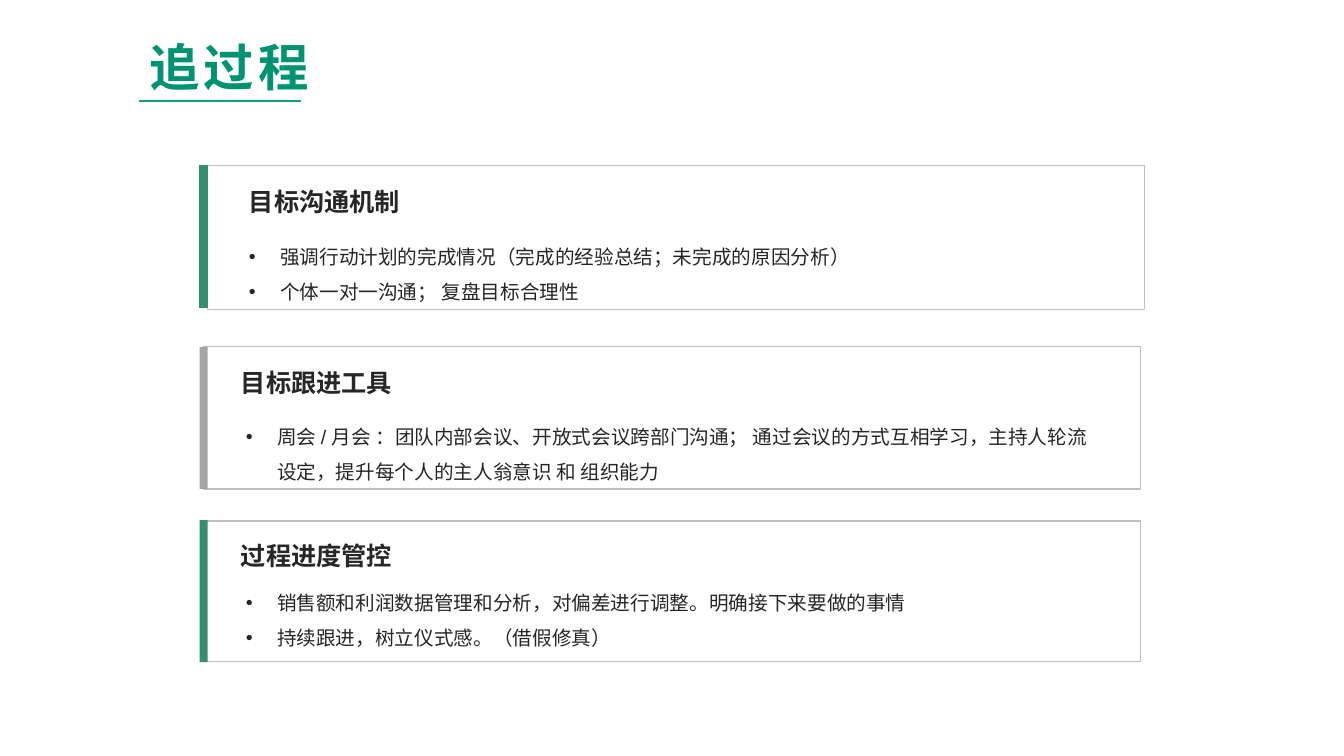
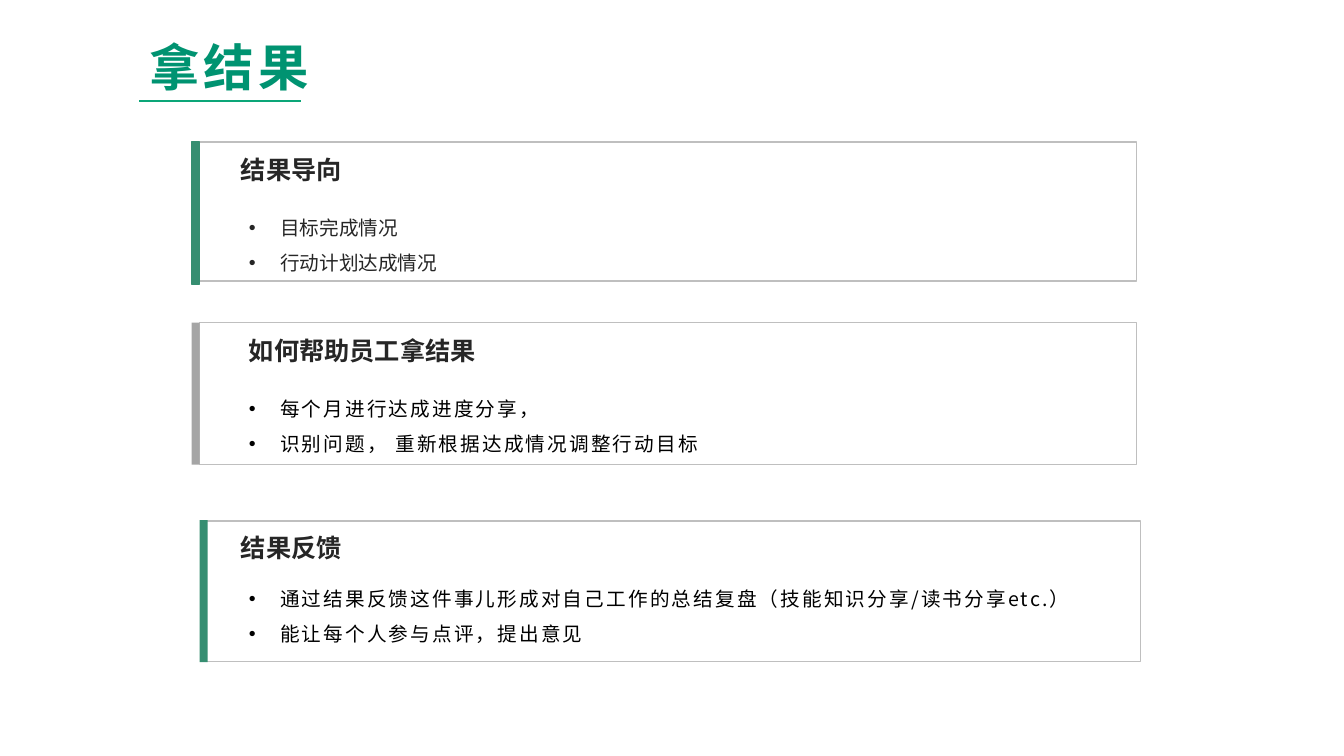
"""Build two slides of bordered cards on following progress and getting results."""
from lxml import etree
from pptx import Presentation
from pptx import util as u
from pptx.dml.color import RGBColor
from pptx.enum import shapes, text
from pptx.oxml.ns import qn

GREEN, GREY, BORDER, WHITE = "368E71", "A5A5A5", "BFBFBF", "FFFFFF"
TITLE, RULE, INK, BLACK = "009371", "0CA678", "262626", "000000"
CJK = "Noto Sans CJK SC"
CARD_W, TEXT_W, HEAD_H = 9.29, 8.65, 0.4
BAR_W, BAR_H = 0.08, 1.41
INDENT = 0.31
DARK = dict(font="Arial", color=INK)
SPACED = dict(font=CJK, color=BLACK, spacing=1.5)

SLIDES = [
    ("追过程", [
        dict(box=(2.06, 1.64, 1.43), bar=(1.98, 1.64), color=GREEN, outline=GREEN,
             head=(2.37, 1.8, "目标沟通机制"), body=(2.37, 2.27, 0.78), style=DARK,
             items=["强调行动计划的完成情况（完成的经验总结；未完成的原因分析）",
                    "个体一对一沟通； 复盘目标合理性"]),
        dict(box=(2.02, 3.44, 1.41), bar=(1.98, 3.44), color=GREY, outline=None,
             head=(2.29, 3.59, "目标跟进工具"), body=(2.34, 4.06, 0.78), style=DARK,
             items=["周会 / 月会 ：团队内部会议、开放式会议跨部门沟通； 通过会议的方式互相学习，"
                    "主持人轮流设定，提升每个人的主人翁意识 和 组织能力"]),
        dict(box=(2.02, 5.17, 1.39), bar=(1.98, 5.16), color=GREEN, outline=None,
             head=(2.29, 5.31, "过程进度管控"), body=(2.34, 5.78, 0.63), style=DARK,
             items=["销售额和利润数据管理和分析，对偏差进行调整。明确接下来要做的事情",
                    "持续跟进，树立仪式感。（借假修真）"]),
    ]),
    ("拿结果", [
        dict(box=(1.98, 1.41, 1.38), bar=(1.9, 1.41), color=GREEN, outline=GREEN,
             head=(2.29, 1.48, "结果导向"), body=(2.37, 2.03, 0.69), style=DARK,
             items=["目标完成情况", "行动计划达成情况"]),
        dict(box=(1.98, 3.2, 1.41), bar=(1.9, 3.2), color=GREY, outline=None,
             head=(2.37, 3.28, "如何帮助员工拿结果"), body=(2.37, 3.75, 0.84), style=SPACED,
             items=["每个月进行达成进度分享，", "识别问题， 重新根据达成情况调整行动目标"]),
        dict(box=(2.02, 5.17, 1.39), bar=(1.98, 5.16), color=GREEN, outline=None,
             head=(2.29, 5.23, "结果反馈"), body=(2.37, 5.7, 0.71), style=SPACED,
             items=["通过结果反馈这件事儿形成对自己工作的总结复盘（技能知识分享/读书分享etc.）",
                    "能让每个人参与点评，提出意见"]),
    ]),
]


def add_text(s, lines, x, y, w, h, size, font, color, bold=False, spacing=0,
             leading=1.0, bullet=False, wrap=True, anchor=text.MSO_ANCHOR.MIDDLE):
    tf = s.shapes.add_textbox(*map(u.Inches, (x, y, w, h))).text_frame
    tf.word_wrap = wrap
    tf.vertical_anchor = anchor
    for i, line in enumerate(lines):
        p = tf.paragraphs[0] if i == 0 else tf.add_paragraph()
        p.line_spacing = leading
        if bullet:
            pPr = p._p.get_or_add_pPr()
            pPr.set("marL", str(u.Inches(INDENT)))
            pPr.set("indent", str(-u.Inches(INDENT)))
            etree.SubElement(pPr, qn("a:buFont")).set("typeface", "Arial")
            etree.SubElement(pPr, qn("a:buChar")).set("char", "•")
        r = p.add_run()
        r.text = line
        r.font.size, r.font.bold, r.font.name = u.Pt(size), bold, font
        r.font.color.rgb = RGBColor.from_string(color)
        rPr = r._r.get_or_add_rPr()
        etree.SubElement(rPr, qn("a:ea")).set("typeface", CJK)
        if spacing:
            rPr.set("spc", str(int(spacing * 100)))


def add_rect(s, x, y, w, h, fill, line=None):
    sp = s.shapes.add_shape(shapes.MSO_SHAPE.RECTANGLE, *map(u.Inches, (x, y, w, h)))
    sp.shadow.inherit = False
    sp.fill.solid()
    sp.fill.fore_color.rgb = RGBColor.from_string(fill)
    if line:
        sp.line.color.rgb = RGBColor.from_string(line)
        sp.line.width = u.Pt(1)
    else:
        sp.line.fill.background()


prs = Presentation()
prs.slide_width, prs.slide_height = u.Inches(13.33), u.Inches(7.5)

for title, cards in SLIDES:
    s = prs.slides.add_slide(prs.slide_layouts[6])
    rule = s.shapes.add_connector(shapes.MSO_CONNECTOR.STRAIGHT,
                                  *map(u.Inches, (1.38, 1, 2.99, 1)))
    rule.line.color.rgb = RGBColor.from_string(RULE)
    rule.line.width = u.Pt(1.5)
    etree.SubElement(rule._element.spPr, qn("a:effectLst"))
    add_text(s, [title], 1.38, 0.13, 1.83, 0.89, size=36, font=CJK, color=TITLE, bold=True,
             spacing=3, leading=1.3, wrap=False, anchor=text.MSO_ANCHOR.TOP)

    for card in cards:
        x, y, h = card["box"]
        add_rect(s, x, y, CARD_W, h, WHITE, BORDER)
        x, y, heading = card["head"]
        add_text(s, [heading], x, y, TEXT_W, HEAD_H, size=18, bold=True, **DARK)
        x, y, h = card["body"]
        add_text(s, card["items"], x, y, TEXT_W, h, size=14, leading=1.5, bullet=True,
                 **card["style"])
        add_rect(s, *card["bar"], BAR_W, BAR_H, card["color"], card["outline"])

prs.save("out.pptx")
